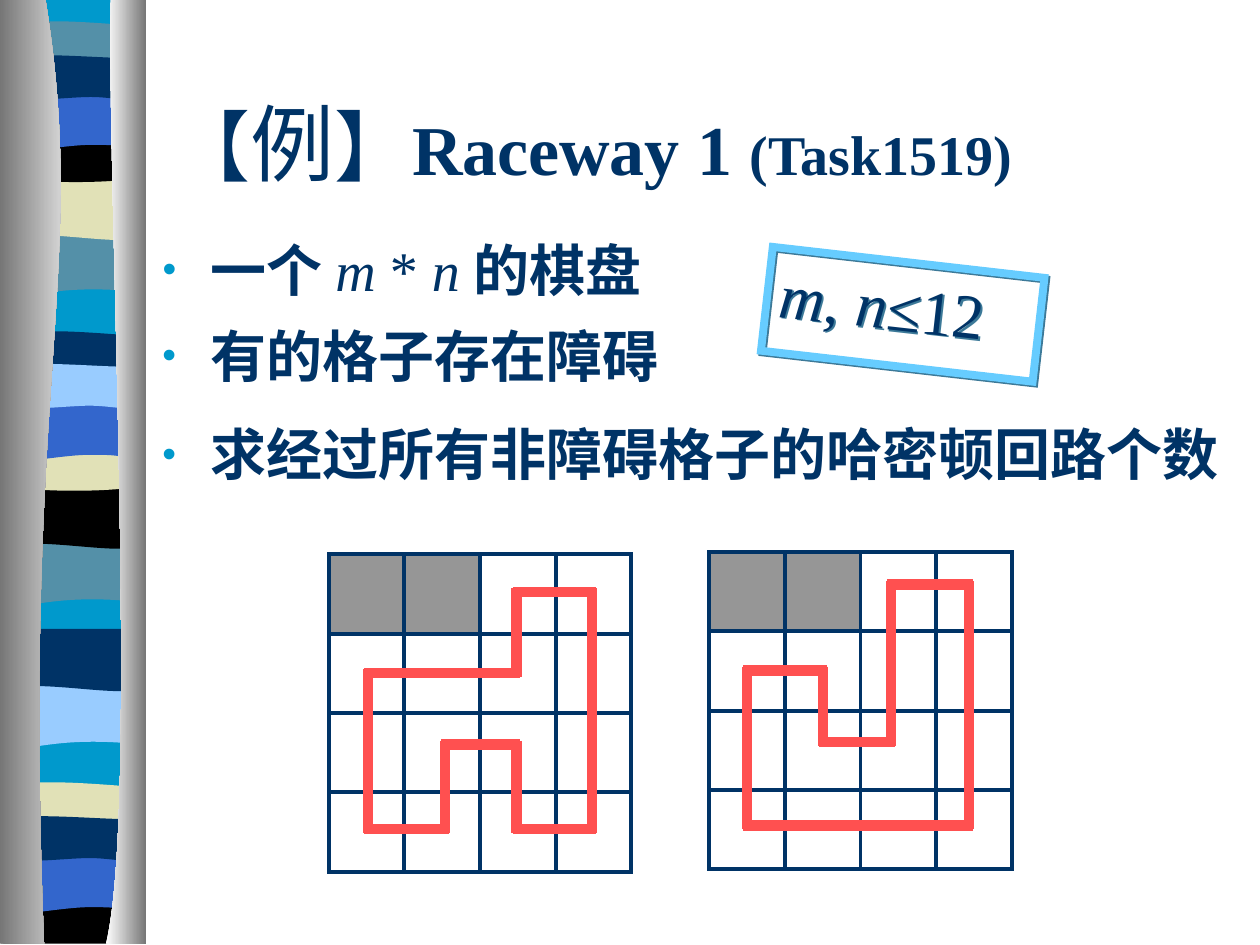
import dataclasses
import itertools
import typing

import lxml.etree
import pptx
import pptx.dml.color
import pptx.enum.shapes
import pptx.enum.text
import pptx.oxml
import pptx.oxml.ns
import pptx.util


@dataclasses.dataclass(frozen=True)
class Theme:
    navy: str = "003366"
    cyan: str = "0099CC"
    teal: str = "5490A8"
    sand: str = "E1E1B7"
    black: str = "000000"
    blue: str = "3366CC"
    pale: str = "99CCFF"
    frame: str = "66CCFF"
    frame_shadow: str = "3C7998"
    obstacle: str = "969696"
    route: str = "FF5050"
    dark: str = "767676"
    white: str = "FFFFFF"
    font: str = "Times New Roman"
    chinese_font: str = "Noto Sans CJK SC"
    bracket_size: int = 44
    symbol_size: int = 48
    title_size: int = 40
    body_size: int = 32
    limit_size: int = 36


THEME = Theme()
Box = tuple[float, float, float, float]
Outline = list[tuple[float, ...]]


class Words(typing.NamedTuple):
    text: str
    size: int = THEME.body_size
    bold: bool = False
    italic: bool = False
    font: str = THEME.font


class Band(typing.NamedTuple):
    outline: Outline
    left: float
    top: float
    color: str


class Bullet(typing.NamedTuple):
    box: Box
    words: list[Words]
    line_spacing: float = 1.0


class Board(typing.NamedTuple):
    left: float
    top: float
    lane_columns: tuple[float, ...]
    lane_rows: tuple[float, ...]
    corners: list[tuple[int, int]]


presentation = pptx.Presentation()
presentation.slide_width = pptx.util.Inches(10)
presentation.slide_height = pptx.util.Inches(7.5)
COLUMN = presentation.slide_width / 10
CELL_WIDTH, CELL_HEIGHT, CELLS, OVERLAP = 0.6, 0.63, 4, 0.03
slide = presentation.slides.add_slide(presentation.slide_layouts[1])
shapes = slide.shapes
qn = pptx.oxml.ns.qn
NAMESPACE = pptx.oxml.ns.nsdecls("a")


def grid(*counts: float) -> list[int]:
    return [round(count * COLUMN) for count in counts]


def rgb(color: str) -> pptx.dml.color.RGBColor:
    return pptx.dml.color.RGBColor.from_string(color)


def add_outline(outline: Outline, left: float, top: float, *colors: str) -> None:
    points = [tuple(grid(left + x, top + y)) for step in outline for x, y in zip(step[::2], step[1::2])]
    builder = shapes.build_freeform(*points[0], scale=1.0)
    builder.add_line_segments(points[1:], close=True)
    shape = builder.convert_to_shape()
    lines = iter(list(shape._element.iter(qn("a:lnTo"))))
    for step in outline[1:]:
        group = list(itertools.islice(lines, len(step) // 2))
        if len(group) == 3:
            curve = lxml.etree.Element(qn("a:cubicBezTo"))
            group[0].addprevious(curve)
            for line in group:
                curve.append(line[0])
                line.getparent().remove(line)
    shape.shadow.inherit = False
    shape.line.fill.background()
    if len(colors) == 1:
        shape.fill.solid()
        shape.fill.fore_color.rgb = rgb(colors[0])
    else:
        shape.fill.gradient()
        shape.fill.gradient_angle = 0
        for stop, color in zip(shape.fill.gradient_stops, colors):
            stop.color.rgb = rgb(color)


def write(shape, words: list[Words], space_before: float = 0):
    frame = shape.text_frame
    frame.word_wrap = True
    frame.auto_size = pptx.enum.text.MSO_AUTO_SIZE.NONE
    paragraph = frame.paragraphs[0]
    paragraph.alignment = pptx.enum.text.PP_ALIGN.LEFT
    paragraph.space_before = pptx.util.Pt(space_before)
    for part in words:
        run = paragraph.add_run()
        run.text = part.text
        run.font.name, run.font.size = part.font, pptx.util.Pt(part.size)
        run.font.bold, run.font.italic = part.bold, part.italic
        run.font.color.rgb = rgb(THEME.navy)
    return paragraph


def add_bullet(shape, bullet: Bullet) -> None:
    shape.left, shape.top, shape.width, shape.height = grid(*bullet.box)
    paragraph = write(shape, bullet.words, 8)
    paragraph.line_spacing = bullet.line_spacing
    properties = paragraph._p.get_or_add_pPr()
    properties.set("marL", str(grid(0.38)[0]))
    properties.set("indent", str(grid(-0.38)[0]))
    for markup in (f'<a:buClr {NAMESPACE}><a:srgbClr val="{THEME.cyan}"/></a:buClr>',
                   f'<a:buSzPct {NAMESPACE} val="70000"/>',
                   f'<a:buFont {NAMESPACE} typeface="Arial"/>', f'<a:buChar {NAMESPACE} char="•"/>'):
        properties.append(pptx.oxml.parse_xml(markup))


def add_rectangle(box: Box, color: str, width: float, fill: str | None = None):
    shape = shapes.add_shape(pptx.enum.shapes.MSO_SHAPE.RECTANGLE, *grid(*box))
    shape.shadow.inherit = False
    shape.line.color.rgb, shape.line.width = rgb(color), pptx.util.Pt(width)
    lxml.etree.SubElement(shape._element.spPr.find(qn("a:ln")), qn("a:miter"), lim="800000")
    shape.fill.background()
    if fill:
        shape.fill.solid()
        shape.fill.fore_color.rgb = rgb(fill)
    return shape


def add_board(board: Board) -> None:
    for row, column in itertools.product(range(CELLS), repeat=2):
        box = (board.left + column * CELL_WIDTH, board.top + row * CELL_HEIGHT, CELL_WIDTH, CELL_HEIGHT)
        add_rectangle(box, THEME.navy, 2.25, THEME.obstacle if row == 0 and column < 2 else None)
    route = [(board.left + board.lane_columns[x], board.top + board.lane_rows[y]) for x, y in board.corners]
    for ends in itertools.pairwise(route + route[:1]):
        (x1, y1), (x2, y2) = sorted(ends)
        dx, dy = (OVERLAP, 0) if y1 == y2 else (0, OVERLAP)
        connector = shapes.add_connector(pptx.enum.shapes.MSO_CONNECTOR.STRAIGHT,
                                         *grid(x1 - dx, y1 - dy, x2 + dx, y2 + dy))
        connector.line.color.rgb, connector.line.width = rgb(THEME.route), pptx.util.Pt(6)
        lxml.etree.SubElement(connector._element.spPr, qn("a:effectLst"))


WAVE = [(1.08, 0), (1.08, 0.47), (0.33, 0.39, 0.18, 0.55, 0, 0.47), (0, 0)]
SWELL = [(1.08, 0), (1.08, 0.47), (0.9, 0.55, 0.33, 0.41, 0, 0.47), (0, 0)]
LENS = [(1.08, 0.05), (1.08, 0.29), (0.9, 0.33, 0.18, 0.33, 0, 0.29), (0, 0.05),
        (0.06, 0, 0.23, 0.01, 0.41, 0.01), (0.59, 0.01, 0.94, 0.04, 1.08, 0.05)]
BOWL = [(1.08, 0), (1.08, 0.32), (0.9, 0.38, 0.18, 0.38, 0, 0.32), (0, 0), (0.66, 0.05, 0.85, 0, 1.08, 0)]
ARCH = [(1.08, 0), (1.08, 0.47), (0.91, 0.41, 0.84, 0.41, 0.66, 0.41), (0.48, 0.41, 0.16, 0.47, 0, 0.47), (0, 0)]
RIPPLE = [(1.08, 0.05), (1.08, 0.36), (1.01, 0.41, 0.84, 0.36, 0.66, 0.36), (0.48, 0.36, 0.11, 0.41, 0, 0.36),
          (0, 0.05), (0.15, 0, 0.73, 0.05, 0.91, 0.05), (1.09, 0.05, 1.04, 0.05, 1.08, 0.05)]
FLOOR = [(1.08, 0), (1.08, 0.37), (0, 0.37), (0, 0), (0.66, 0.05, 0.85, 0, 1.08, 0)]
SHEET = [(1.08, 0), (1.08, 7.48), (0, 7.48), (0, 0)]
BANDS = [
    Band(SHEET, 0.06, -0.01, THEME.cyan), Band(WAVE, 0.06, 1.85, THEME.teal),
    Band(SWELL, 0.06, 1.41, THEME.sand), Band(LENS, 0.06, 0.16, THEME.teal),
    Band(BOWL, 0.06, 1.08, THEME.black), Band(ARCH, 0.06, 0.74, THEME.blue),
    Band(RIPPLE, 0.06, 0.41, THEME.navy), Band(WAVE, 0.05, 4.31, THEME.teal),
    Band(SWELL, 0.05, 3.86, THEME.black), Band(LENS, 0.05, 2.62, THEME.navy),
    Band(BOWL, 0.05, 3.53, THEME.sand), Band(ARCH, 0.05, 3.2, THEME.blue),
    Band(RIPPLE, 0.05, 2.86, THEME.pale), Band(WAVE, 0.06, 5.44, THEME.pale),
    Band(SWELL, 0.06, 4.99, THEME.navy), Band(LENS, 0.05, 6.2, THEME.sand),
    Band(FLOOR, 0.05, 7.12, THEME.black), Band(ARCH, 0.05, 6.79, THEME.blue),
    Band(RIPPLE, 0.05, 6.45, THEME.navy),
]
LEFT_PILLAR = [(0.36, 0), (0.71, 2.17, 0.17, 2.97, 0.35, 7.5), (0, 7.5), (0, 0)]
RIGHT_PILLAR = [(0.88, 0), (0.84, 1.26, 1.11, 6.47, 0.84, 7.5), (1.16, 7.5), (1.16, 0)]
BULLETS = [
    Bullet((1.19, 1.82, 4.67, 0.83), [Words("一个 ", bold=True), Words("m", italic=True), Words(" * "),
                                      Words("n ", italic=True), Words("的棋盘", bold=True)]),
    Bullet((1.19, 2.5, 4.19, 0.83), [Words("有的格子存在障碍", bold=True)]),
    Bullet((1.19, 3.23, 8.75, 0.85), [Words("求经过所有非障碍格子的哈密顿回路个数", bold=True)], 1.1),
]
BOARDS = [
    Board(2.61, 4.4, (0.31, 0.92, 1.49, 2.09), (0.3, 0.94, 1.51, 2.18),
          [(0, 1), (2, 1), (2, 0), (3, 0), (3, 3), (2, 3), (2, 2), (1, 2), (1, 3), (0, 3)]),
    Board(5.63, 4.38, (0.3, 0.9, 1.44, 2.06), (0.26, 0.94, 1.51, 2.17),
          [(0, 1), (1, 1), (1, 2), (2, 2), (2, 0), (3, 0), (3, 3), (0, 3)]),
]

for band in BANDS:
    add_outline(*band)
add_outline(LEFT_PILLAR, 0, -0.01, THEME.dark, THEME.white)
add_outline(RIGHT_PILLAR, 0, -0.01, THEME.white, THEME.dark)
title = shapes.title
title.left, title.top, title.width, title.height = grid(1.28, 0.5, 8.5, 1.25)
title.text_frame.vertical_anchor = pptx.enum.text.MSO_ANCHOR.MIDDLE
write(title, [Words("【", THEME.bracket_size), Words("例", THEME.symbol_size, font=THEME.chinese_font),
              Words("】", THEME.bracket_size), Words("Raceway 1 ", THEME.title_size, True),
              Words("(Task1519)", bold=True)])
for board in BOARDS:
    add_board(board)
add_bullet(slide.placeholders[1], BULLETS[0])
for bullet in BULLETS[1:]:
    add_bullet(shapes.add_textbox(*grid(*bullet.box)), bullet)
limit = add_rectangle((6.08, 2.08, 2.17, 0.83), THEME.frame, 4.5)
limit.rotation = 6.5
limit.text_frame.vertical_anchor = pptx.enum.text.MSO_ANCHOR.TOP
write(limit, [Words("m", THEME.limit_size, italic=True), Words(", ", THEME.limit_size),
              Words("n", THEME.limit_size, italic=True), Words("≤12", THEME.limit_size)], 9)
limit._element.spPr.find(qn("a:effectLst")).append(pptx.oxml.parse_xml(
    f'<a:outerShdw {NAMESPACE} dist="{pptx.util.Pt(1.4)}" dir="2700000">'
    f'<a:srgbClr val="{THEME.frame_shadow}"/></a:outerShdw>'))
presentation.save("out.pptx")
